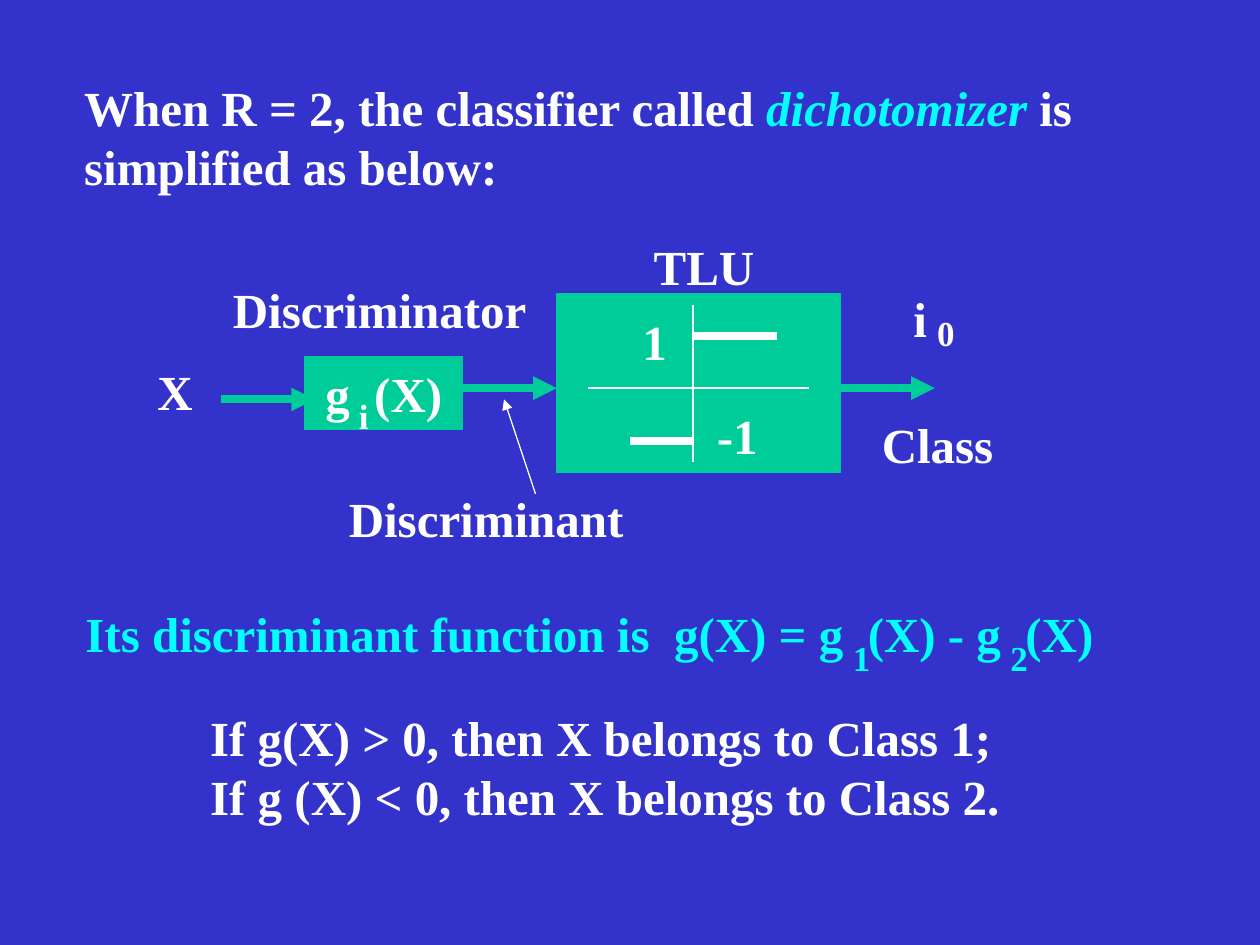
"""Build the dichotomizer slide: block diagram, discriminant function and decision rule."""
from pptx import Presentation
from pptx.dml.color import RGBColor
from pptx.enum.shapes import MSO_CONNECTOR as Line, MSO_SHAPE as Preset
from pptx.enum.text import MSO_ANCHOR as Anchor, MSO_AUTO_SIZE as AutoSize, PP_ALIGN as Align
from pptx.oxml.ns import qn
from pptx.util import Inches, Pt
from lxml.etree import SubElement

BLUE = RGBColor(0x33, 0x33, 0xCC)
GREEN = RGBColor(0x00, 0xCC, 0x99)
CYAN = RGBColor(0x00, 0xFF, 0xFF)
WHITE = RGBColor(0xFF, 0xFF, 0xFF)

BODY = {"name": "Times New Roman", "size": Pt(28), "bold": True}
SUBSCRIPT = BODY | {"size": Pt(20)}
TERM = {"italic": True, "color": CYAN}
WIDE = {"spacing": 7}
GAP = (" ", WIDE)

INTRO = [["When R = 2, the classifier called ", ("dichotomizer", TERM), " is"],
         ["simplified as below:"]]
FUNCTION = [["Its discriminant function is", GAP, "g(X) = g", GAP, "(X) - g", GAP, "(X)"]]
RULES = [["If g(X) > 0, then X belongs to Class 1;"],
         ["If g (X) < 0, then X belongs to Class 2."]]
DISCRIMINATOR = [["g", GAP, "(X)"]]

THRESHOLD_BOX = (4.42, 2.33, 2.25, 1.42)
DISCRIMINATOR_BOX = (2.42, 2.83, 1.25, 0.58)
FLOW_Y, AXIS_X, ARROW = 3.08, 5.5, 0.75

LINES = [
    ((1.75, 3.17), (1.75 + ARROW, 3.17), GREEN, 4.5, "tailEnd"),
    ((6.67, FLOW_Y), (6.67 + ARROW, FLOW_Y), GREEN, 4.5, "tailEnd"),
    ((3.67, FLOW_Y), (3.67 + ARROW, FLOW_Y), GREEN, 4.5, "tailEnd"),
    ((4.67, FLOW_Y), (6.42, FLOW_Y), WHITE, 1, None),
    ((AXIS_X, 2.42), (AXIS_X, 3.67), WHITE, 1, None),
    ((AXIS_X, 2.67), (6.17, 2.67), WHITE, 4.5, None),
    ((AXIS_X, 3.5), (5, 3.5), WHITE, 4.5, None),
    ((4, 3.17), (4.25, 3.92), WHITE, 0.75, "headEnd"),
]

TEXTS = [
    (INTRO, (0.57, 0.57, 8.04, 1.04), BODY, WHITE),
    ([["i"]], (7.15, 2.24, 0.31, 0.57), BODY, WHITE),
    ([["0"]], (7.34, 2.42, 0.34, 0.44), SUBSCRIPT, WHITE),
    ([["Class"]], (6.9, 3.24, 1.12, 0.57), BODY, WHITE),
    ([["TLU"]], (5.09, 1.83, 1, 0.57), BODY, WHITE),
    ([["-1"]], (5.59, 3.17, 0.52, 0.57), BODY, WHITE),
    ([["1"]], (5, 2.42, 0.39, 0.57), BODY, WHITE),
    ([["i"]], (2.75, 3.08, 0.27, 0.44), SUBSCRIPT, WHITE),
    ([["X"]], (1.15, 2.82, 0.48, 0.57), BODY, WHITE),
    ([["Discriminator"]], (1.75, 2.17, 2.53, 0.57), BODY, WHITE),
    ([["Discriminant"]], (2.67, 3.83, 2.38, 0.57), BODY, WHITE),
    (FUNCTION, (0.58, 4.74, 8.2, 0.57), BODY, CYAN),
    ([["1"]], (6.67, 5, 0.34, 0.44), SUBSCRIPT, CYAN),
    ([["2"]], (7.92, 5, 0.34, 0.44), SUBSCRIPT, CYAN),
    (RULES, (1.57, 5.57, 6.46, 1.04), BODY, WHITE),
]


def write(frame, paragraphs, style, color, align=Align.LEFT):
    frame.word_wrap = False
    for index, parts in enumerate(paragraphs):
        paragraph = frame.add_paragraph() if index else frame.paragraphs[0]
        paragraph.alignment = align
        for part in parts:
            words, extra = (part, {}) if isinstance(part, str) else part
            run = paragraph.add_run()
            run.text = words
            formats = style | {"color": color} | extra
            run.font.color.rgb = formats.pop("color")
            if "spacing" in formats:
                run.font._element.set("spc", str(formats.pop("spacing") * 100))
            for attribute, value in formats.items():
                setattr(run.font, attribute, value)


def add_block(slide, box):
    block = slide.shapes.add_shape(Preset.RECTANGLE, *map(Inches, box))
    block.shadow.inherit = False
    block.fill.solid()
    block.fill.fore_color.rgb = GREEN
    block.line.color.rgb = GREEN
    block.line.width = Pt(0.75)
    return block


def add_line(slide, start, end, color, width, arrow_end):
    line = slide.shapes.add_connector(Line.STRAIGHT, *map(Inches, start + end))
    line.line.color.rgb = color
    line.line.width = Pt(width)
    if arrow_end:
        SubElement(line.line._get_or_add_ln(), qn(f"a:{arrow_end}"), type="triangle")
    SubElement(line._element.spPr, qn("a:effectLst"))


def main():
    deck = Presentation()
    deck.slide_width, deck.slide_height = Inches(10), Inches(7.5)
    slide = deck.slides.add_slide(deck.slide_layouts[6])
    slide.background.fill.solid()
    slide.background.fill.fore_color.rgb = BLUE

    add_block(slide, THRESHOLD_BOX)
    discriminator = add_block(slide, DISCRIMINATOR_BOX).text_frame
    discriminator.vertical_anchor = Anchor.MIDDLE
    write(discriminator, DISCRIMINATOR, BODY, WHITE, Align.CENTER)

    for line in LINES:
        add_line(slide, *line)
    for paragraphs, box, style, color in TEXTS:
        frame = slide.shapes.add_textbox(*map(Inches, box)).text_frame
        frame.auto_size = AutoSize.SHAPE_TO_FIT_TEXT
        write(frame, paragraphs, style, color)

    deck.save("out.pptx")


if __name__ == "__main__":
    main()
